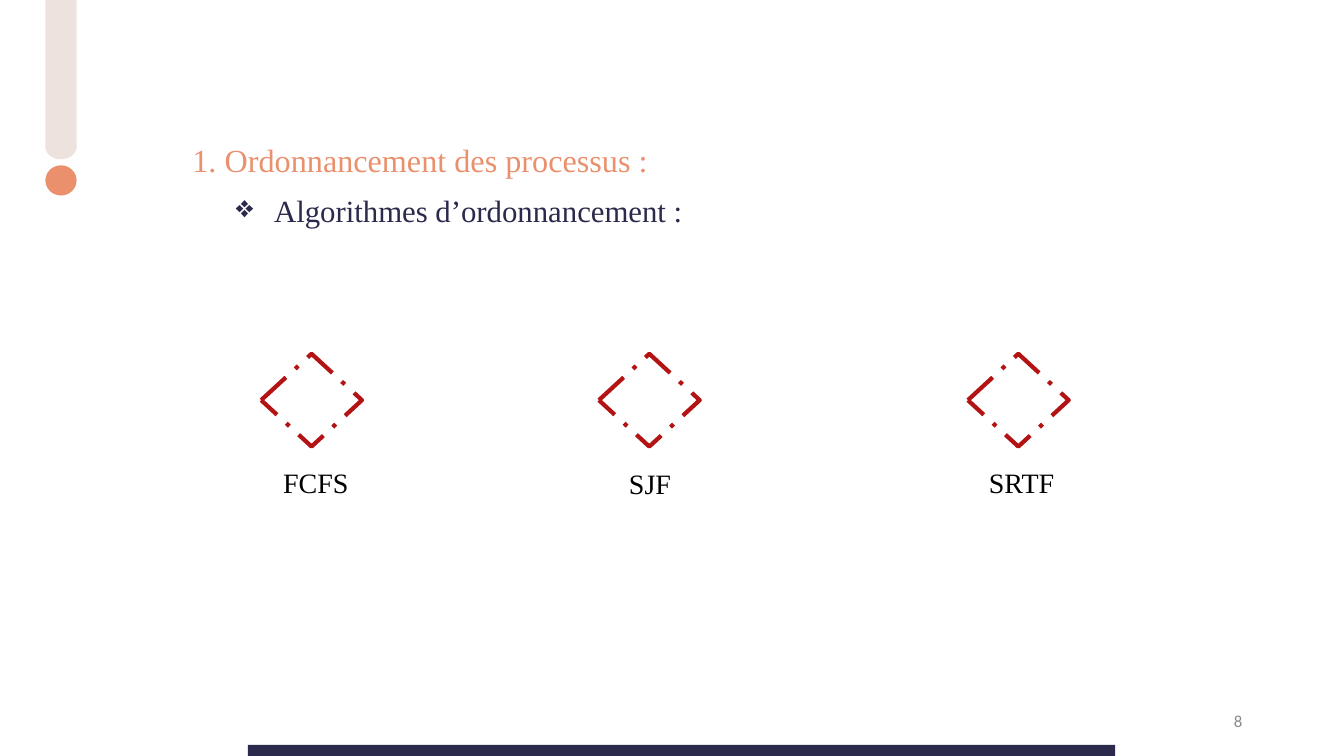
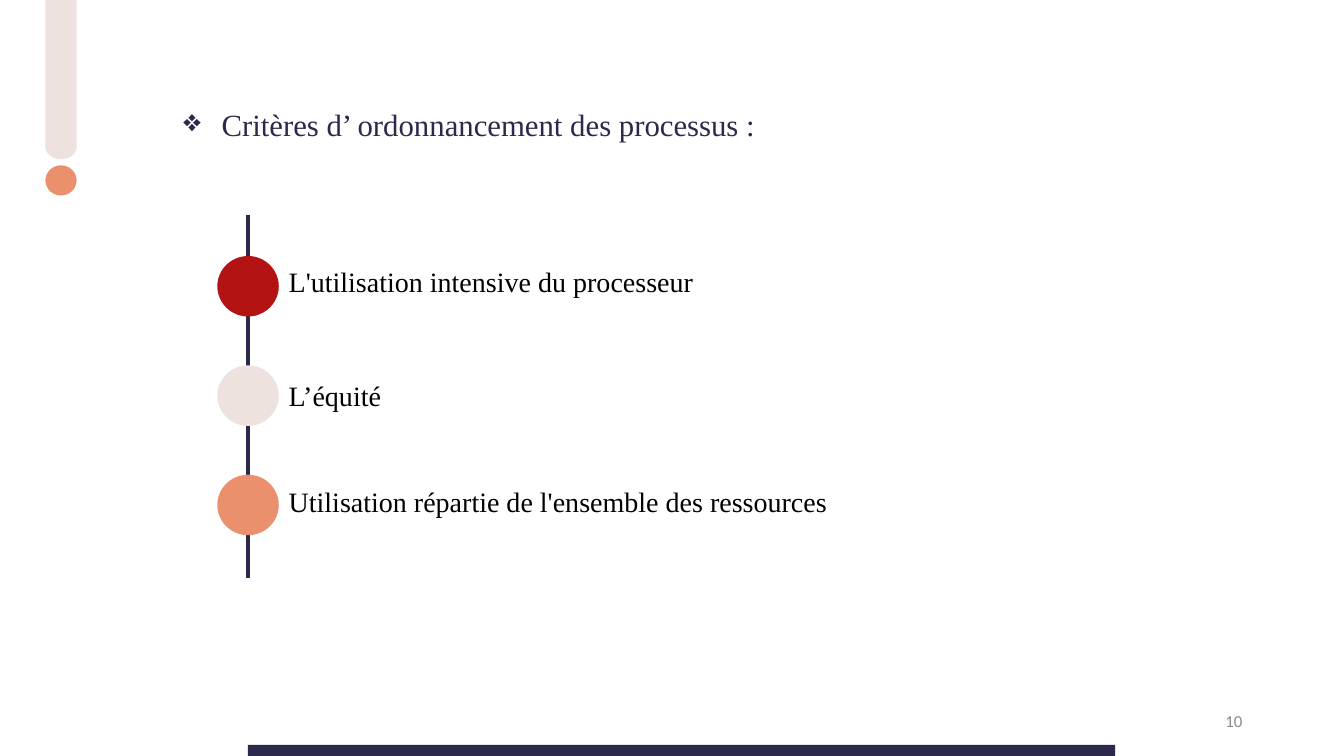
from dataclasses import dataclass

from lxml import etree
from pptx import Presentation
from pptx.dml.color import RGBColor
from pptx.enum.dml import MSO_LINE
from pptx.enum.shapes import MSO_CONNECTOR, MSO_SHAPE
from pptx.enum.text import MSO_ANCHOR, PP_ALIGN
from pptx.oxml.ns import qn
from pptx.util import Inches, Pt

RECTANGLE, OVAL, DIAMOND = MSO_SHAPE.RECTANGLE, MSO_SHAPE.OVAL, MSO_SHAPE.DIAMOND
STRAIGHT = MSO_CONNECTOR.STRAIGHT
DASH_DOT = MSO_LINE.LONG_DASH_DOT
LEFT, RIGHT = PP_ALIGN.LEFT, PP_ALIGN.RIGHT
TOP, MIDDLE = MSO_ANCHOR.TOP, MSO_ANCHOR.MIDDLE


@dataclass(frozen=True)
class Theme:
    navy: RGBColor = RGBColor.from_string("2B2A4C")
    red: RGBColor = RGBColor.from_string("B31313")
    orange: RGBColor = RGBColor.from_string("EA906D")
    sand: RGBColor = RGBColor.from_string("EDE2DE")
    black: RGBColor = RGBColor.from_string("000000")
    grey: RGBColor = RGBColor.from_string("898989")
    serif: str = "Times New Roman"
    sans: str = "Calibri"
    title: int = 23
    heading: int = 22
    label: int = 20
    footer: int = 12


THEME = Theme()
TITLE = {"name": THEME.serif, "size": Pt(THEME.title), "color": THEME.orange}
HEADING = {"name": THEME.serif, "size": Pt(THEME.heading), "color": THEME.navy}
LABEL = {"name": THEME.serif, "size": Pt(THEME.label), "color": THEME.black}
FOOTER = {"name": THEME.sans, "size": Pt(THEME.footer), "color": THEME.grey}

SECTION = "1. Ordonnancement des processus :"
ALGORITHMS_HEADING = "Algorithmes d’ordonnancement :"
ALGORITHMS = [
    ("FCFS", 2.59, (2.71, 4.57)),
    ("SJF", 5.94, (6.14, 4.58)),
    ("SRTF", 9.6, (9.71, 4.57)),
]
CRITERIA_HEADING = "Critères d’ ordonnancement des processus :"
CRITERIA = [
    ("L'utilisation intensive du processeur", THEME.red, 2.58),
    ("L’équité", THEME.sand, 3.71),
    ("Utilisation répartie de l'ensemble des ressources", THEME.orange, 4.76),
]
DECORATION = [
    (RECTANGLE, (0.45, 0, 0.31, 1.46), THEME.sand),
    (OVAL, (0.45, 1.34, 0.31, 0.24), THEME.sand),
    (OVAL, (0.45, 1.64, 0.31, 0.3), THEME.orange),
    (RECTANGLE, (2.46, 7.39, 8.6, 0.11), THEME.navy),
]
TIMELINE_X, TIMELINE_TOP, TIMELINE_BOTTOM = 2.46, 2.13, 5.73
DOT_WIDTH, DOT_HEIGHT, DOT_TOP, DOT_PITCH = 0.61, 0.6, 2.54, 1.085


def inches(values):
    return [Inches(value) for value in values]


def add_filled(slide, kind, box, color):
    shape = slide.shapes.add_shape(kind, *inches(box))
    shape.shadow.inherit = False
    shape.fill.solid()
    shape.fill.fore_color.rgb = color
    shape.line.fill.background()


def add_diamond(slide, left):
    diamond = slide.shapes.add_shape(DIAMOND, *inches((left, 3.51, 1, 0.92)))
    diamond.shadow.inherit = False
    diamond.fill.background()
    diamond.line.color.rgb = THEME.red
    diamond.line.width = Pt(3)
    diamond.line.dash_style = DASH_DOT


def add_text(slide, text, box, style, bullet=None, align=LEFT, anchor=TOP):
    frame = slide.shapes.add_textbox(*inches(box)).text_frame
    frame.word_wrap = True
    frame.vertical_anchor = anchor
    paragraph = frame.paragraphs[0]
    paragraph.alignment = align
    if bullet:
        properties = paragraph._p.get_or_add_pPr()
        properties.set("marL", str(Inches(0.38)))
        properties.set("indent", str(Inches(-0.38)))
        etree.SubElement(properties, qn("a:buChar")).set("char", bullet)
    run = paragraph.add_run()
    run.text = text
    for key, value in style.items():
        if key == "color":
            run.font.color.rgb = value
        else:
            setattr(run.font, key, value)


def add_timeline(slide):
    line = slide.shapes.add_connector(
        STRAIGHT, *inches((TIMELINE_X, TIMELINE_TOP, TIMELINE_X, TIMELINE_BOTTOM)))
    line.line.color.rgb = THEME.navy
    line.line.width = Pt(2.25)
    etree.SubElement(line._element.spPr, qn("a:effectLst"))


def add_slide(deck, number):
    slide = deck.slides.add_slide(deck.slide_layouts[6])
    for kind, box, color in DECORATION:
        add_filled(slide, kind, box, color)
    add_text(slide, str(number), (9.42, 6.95, 3, 0.4), FOOTER, align=RIGHT, anchor=MIDDLE)
    return slide


def build_algorithms(deck):
    slide = add_slide(deck, 8)
    add_text(slide, SECTION, (1.81, 1.34, 6.31, 0.5), TITLE)
    add_text(slide, ALGORITHMS_HEADING, (2.24, 1.85, 6.31, 0.47), HEADING, bullet="❖")
    for name, left, label_corner in ALGORITHMS:
        add_diamond(slide, left)
        add_text(slide, name, (*label_corner, 1.27, 0.44), LABEL)


def build_criteria(deck):
    slide = add_slide(deck, 10)
    add_text(slide, CRITERIA_HEADING, (1.72, 1, 7.19, 0.47), HEADING, bullet="❖")
    add_timeline(slide)
    dot_left = TIMELINE_X - DOT_WIDTH / 2
    for index, (criterion, color, label_top) in enumerate(CRITERIA):
        dot_top = DOT_TOP + index * DOT_PITCH
        add_filled(slide, OVAL, (dot_left, dot_top, DOT_WIDTH, DOT_HEIGHT), color)
        add_text(slide, criterion, (dot_left + DOT_WIDTH, label_top, 7, 0.44), LABEL)


def main():
    deck = Presentation()
    deck.slide_width, deck.slide_height = inches((13.33, 7.5))
    build_algorithms(deck)
    build_criteria(deck)
    deck.save("out.pptx")


if __name__ == "__main__":
    main()
